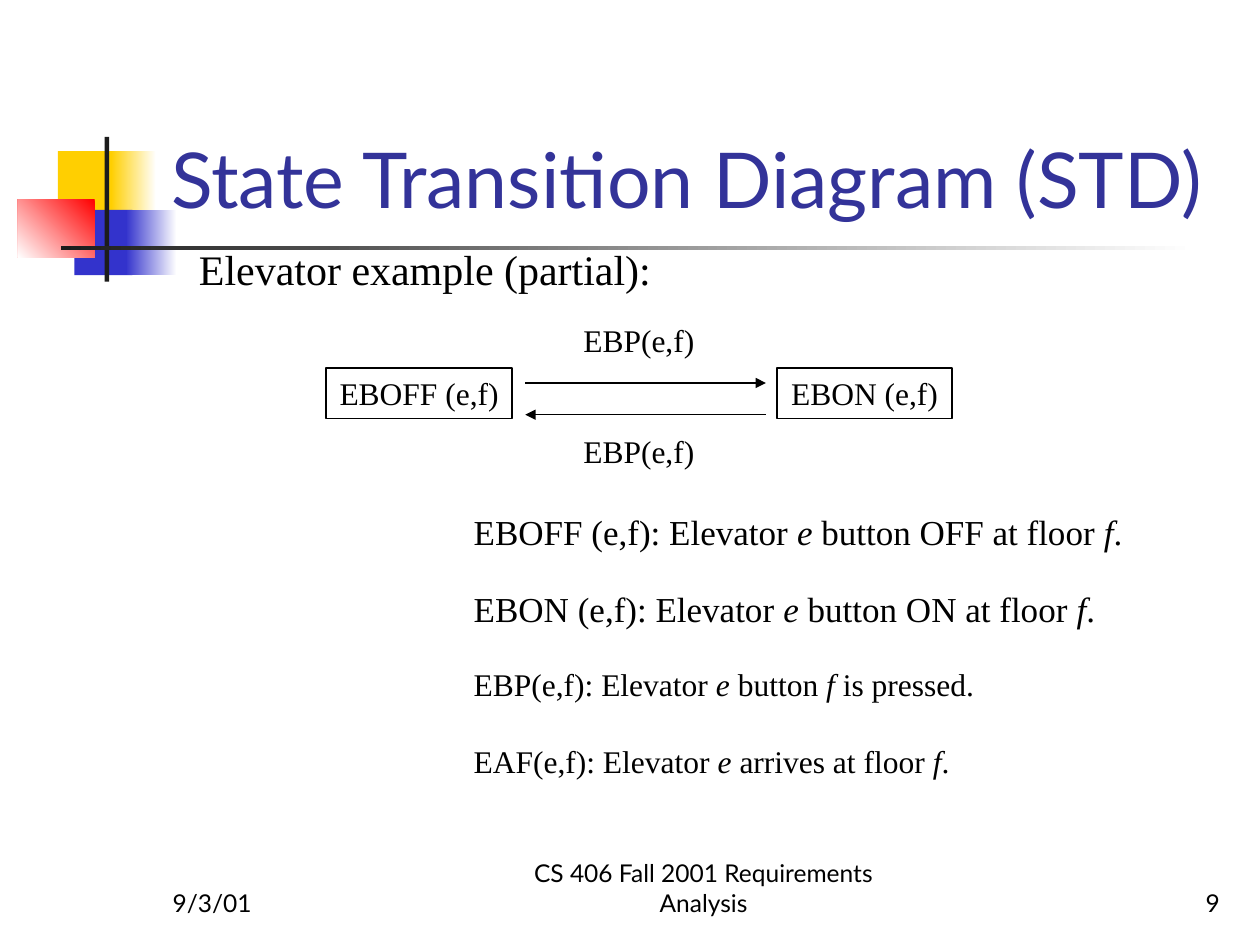
from pptx import Presentation
from pptx.dml.color import RGBColor
from pptx.enum.shapes import MSO_CONNECTOR, MSO_SHAPE
from pptx.enum.text import MSO_ANCHOR, MSO_AUTO_SIZE, PP_ALIGN
from pptx.oxml.ns import qn
from pptx.util import Cm, Pt
from lxml.etree import SubElement

COLORS = {
    "black": "000000", "white": "FFFFFF", "title": "333399",
    "yellow": "FFCF01", "blue": "3333CC", "red": "FF0000", "dark": "1C1C1C",
}
SANS, SERIF = "Lato", "Times New Roman"

# left, top, width, height, colour stops, gradient angle (counterclockwise)
DECOR = [
    (1.17, 3.05, 1.22, 1.32, ["yellow"], 0),
    (2.24, 3.05, 0.91, 1.32, ["white", "yellow"], 180),
    (1.5, 4.23, 1.17, 1.32, ["blue"], 0),
    (2.54, 4.23, 1.02, 1.32, ["white", "blue"], 180),
    (0.36, 4.02, 1.55, 1.17, ["red", "white"], 225),
    (2.11, 2.76, 0.09, 2.92, ["dark"], 0),
    (1.23, 4.95, 22.86, 0.09, ["white", "dark"], 180),
]
TITLE = "State Transition Diagram (STD)"
HEADING = "Elevator example (partial):"
STATES = [("EBOFF (e,f)", 6.58, 3.74), ("EBON (e,f)", 15.67, 3.52)]
# label, label top, arrow height, arrowhead end
MOVES = [
    ("EBP(e,f)", 6.35, 7.72, "a:tailEnd"),
    ("EBP(e,f)", 8.58, 8.36, "a:headEnd"),
]
# Asterisks enclose italic words: text, size, width
TERMS = [
    ("EBOFF (e,f): Elevator *e* button OFF at floor *f*.", 20, 13.85),
    ("EBON (e,f): Elevator *e* button ON at floor *f*.", 20, 13.3),
    ("EBP(e,f): Elevator *e* button *f* is pressed.", 18, 10.7),
    ("EAF(e,f): Elevator *e* arrives at floor *f*.", 18, 10.2),
]
FOOTER = [
    ("CS 406 Fall 2001 Requirements Analysis", 10.16, 8.05, PP_ALIGN.CENTER),
    ("9", 19.56, 5.28, PP_ALIGN.RIGHT),
    ("9/3/01", 3.23, 5.28, PP_ALIGN.LEFT),
]

deck = Presentation()
deck.slide_width, deck.slide_height = Cm(25.4), Cm(19.05)
slide = deck.slides.add_slide(deck.slide_layouts[6])
shapes = slide.shapes


def rgb(name):
    return RGBColor.from_string(COLORS[name])


def add_rect(box):
    rect = shapes.add_shape(MSO_SHAPE.RECTANGLE, *map(Cm, box))
    rect.shadow.inherit = False
    return rect


def add_decor(box, stops, angle):
    rect = add_rect(box)
    rect.line.fill.background()
    if len(stops) == 1:
        rect.fill.solid()
        rect.fill.fore_color.rgb = rgb(stops[0])
    else:
        rect.fill.gradient()
        rect.fill.gradient_angle = angle
        for stop, name in zip(rect.fill.gradient_stops, stops):
            stop.color.rgb = rgb(name)


def add_text(text, box, size=18, font=SERIF, color="black", align=PP_ALIGN.LEFT,
             anchor=MSO_ANCHOR.TOP, wrap=False, border=False):
    if border:
        shape = add_rect(box)
        shape.fill.background()
        shape.line.color.rgb = rgb("black")
        shape.line.width = Pt(1)
    else:
        shape = shapes.add_textbox(*map(Cm, box))
    frame = shape.text_frame
    frame.word_wrap = wrap
    frame.auto_size = MSO_AUTO_SIZE.NONE if wrap else MSO_AUTO_SIZE.SHAPE_TO_FIT_TEXT
    frame.vertical_anchor = anchor
    para = frame.paragraphs[0]
    para.alignment = align
    for i, part in enumerate(text.split("*")):
        run = para.add_run()
        run.text = part
        run.font.name, run.font.size = font, Pt(size)
        run.font.color.rgb = rgb(color)
        run.font.italic = i % 2 == 1


def add_arrow(left, right, top, end):
    line = shapes.add_connector(
        MSO_CONNECTOR.STRAIGHT, Cm(left), Cm(top), Cm(right), Cm(top))
    line.line.color.rgb = rgb("black")
    line.line.width = Pt(0.75)
    SubElement(line.line._get_or_add_ln(), qn(end), type="triangle")
    SubElement(line._element.spPr, qn("a:effectLst"))


for *box, stops, angle in DECOR:
    add_decor(box, stops, angle)

add_text(TITLE, (3.2, 0.58, 21.64, 4.06), size=44, font=SANS, color="title",
         anchor=MSO_ANCHOR.BOTTOM, wrap=True)

for name, left, width in STATES:
    add_text(name, (left, 7.42, width, 1.02), align=PP_ALIGN.CENTER, border=True)
for label, top, level, end in MOVES:
    add_text(label, (11.51, top, 2.8, 1.02))
    add_arrow(10.59, 15.44, level, end)

for i, (term, size, width) in enumerate(TERMS):
    add_text(term, (9.3, 10.16 + 1.56 * i, width, 0.056 * size), size=size)

add_text(HEADING, (3.76, 4.78, 9.7, 1.27), size=24)

for text, left, width, align in FOOTER:
    add_text(text, (left, 17.34, width, 1.27), size=14, font=SANS, align=align,
             anchor=MSO_ANCHOR.BOTTOM, wrap=True)

deck.save("out.pptx")
